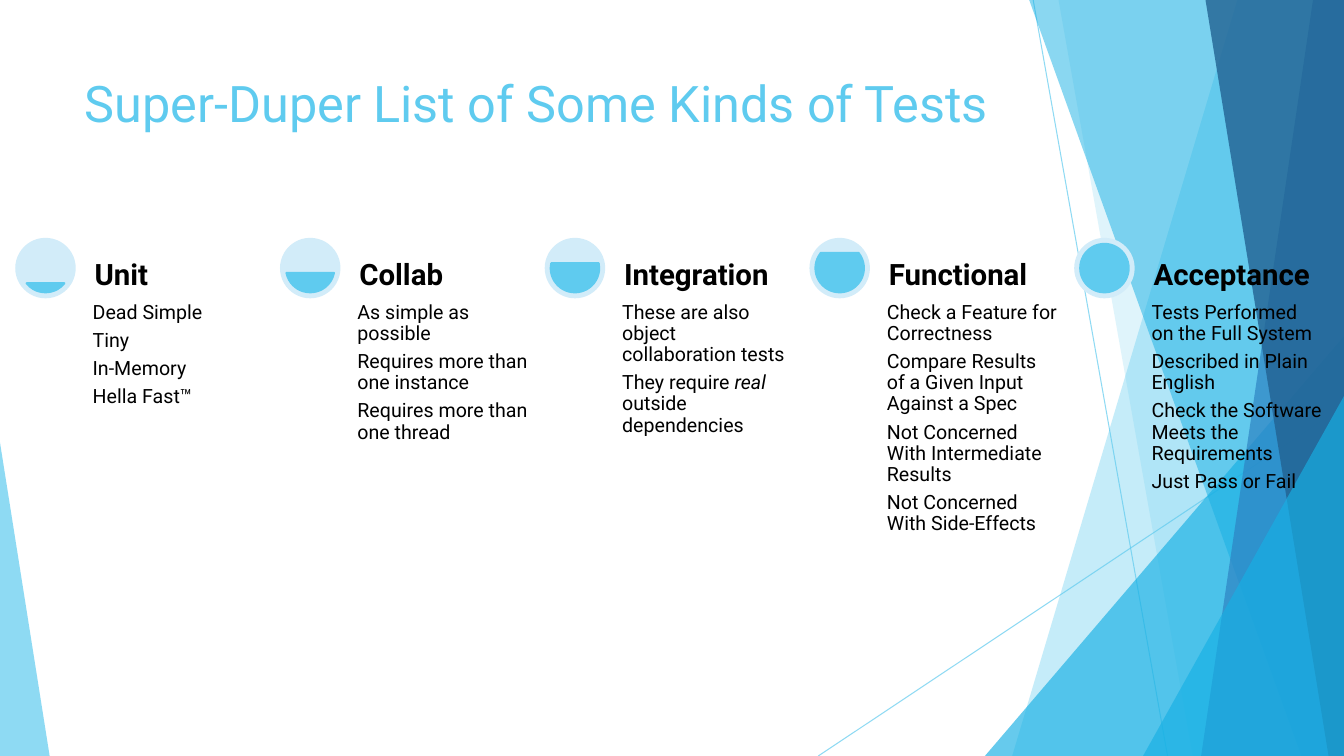
"""Build a slide that lists five kinds of tests beside faceted blue panels."""
import pptx
import pptx.dml.color
import pptx.enum.shapes
import pptx.enum.text
import pptx.oxml.ns
import pptx.util
from lxml import etree

Pt = pptx.util.Pt
SHAPE = pptx.enum.shapes.MSO_SHAPE
ANCHOR = pptx.enum.text.MSO_ANCHOR
qn = pptx.oxml.ns.qn

WIDE, HIGH = 960, 540
FONT, SKY, PALE, BLACK = "Roboto", "5FCBEF", "D2ECF9", "000000"
TITLE = "Super-Duper List of Some Kinds of Tests"

# Each kind: name, angle of the water line in degrees, points
KINDS = [
    ("Unit", 38.87, ["Dead Simple", "Tiny", "In-Memory", "Hella Fast™"]),
    ("Collab", 11.54, [
        "As simple as possible",
        "Requires more than one instance",
        "Requires more than one thread"]),
    ("Integration", -11.54, [
        "These are also object collaboration tests",
        ("They require ", "real", " outside dependencies")]),
    ("Functional", -38.87, [
        "Check a Feature for Correctness",
        "Compare Results of a Given Input Against a Spec",
        "Not Concerned With Intermediate Results",
        "Not Concerned With Side-Effects"]),
    ("Acceptance", -90, [
        "Tests Performed on the Full System",
        "Described in Plain English",
        "Check the Software Meets the Requirements",
        "Just Pass or Fail"]),
]
RAYS = [(738, 0, 834, HIGH), (WIDE, 290, 584.5, HIGH)]
FACETS = [
    ("panel", 884, 723, SKY, 36),
    ("panel", 756, 852, SKY, 20),
    ("wedge", 703.5, 240, 256.5, 1, "17B0E4", 66),
    ("panel", 735, 929.5, "17B0E4", 50),
    ("panel", 938, 858, "2E83C3", 70),
    ("panel", 861, 949, "226292", 80),
    ("wedge", 816.5, 283, 143.5, 1, "17B0E4", 66),
    ("wedge", 0, 316, 35.5, 0, SKY, 70),
]
LEFT, TOP, STEP = 10.9, 169.9, 189.1
DISC, RIM, SHIFT, WIDTH, DEPTH = 43.2, 4.3, 52.4, 128.2, 182


def color(code):
    return pptx.dml.color.RGBColor.from_string(code)


def fade(shape, alpha):
    for tag in shape.element.spPr.iter(qn("a:srgbClr")):
        etree.SubElement(tag, qn("a:alpha"), val=str(alpha * 1000))


def paint(shape, code):
    shape.shadow.inherit = False
    shape.fill.solid()
    shape.fill.fore_color.rgb = color(code)
    shape.line.fill.background()


def style(para, size, code, bold=False):
    font = para.font
    font.name, font.size, font.bold = FONT, Pt(size), bold
    font.color.rgb = color(code)


def add_ray(shapes, ends):
    kind = pptx.enum.shapes.MSO_CONNECTOR.STRAIGHT
    ray = shapes.add_connector(kind, *map(Pt, ends))
    ray.line.color.rgb = color(SKY)
    ray.line.width = Pt(0.75)
    fade(ray, 70)
    etree.SubElement(ray.element.spPr, qn("a:effectLst"))


def add_panel(shapes, head, foot):
    edge = [(WIDE, -0.5), (WIDE, HIGH), (foot, HIGH)]
    pen = shapes.build_freeform(Pt(head), Pt(-0.5))
    pen.add_line_segments([(Pt(x), Pt(y)) for x, y in edge], close=True)
    return pen.convert_to_shape()


def add_wedge(shapes, left, top, width, tip):
    wedge = shapes.add_shape(
        SHAPE.ISOSCELES_TRIANGLE, Pt(left), Pt(top), Pt(width), Pt(HIGH - top))
    wedge.adjustments[0] = tip
    return wedge


def add_disc(shapes, kind, left, top, size, code):
    disc = shapes.add_shape(kind, Pt(left), Pt(top), Pt(size), Pt(size))
    paint(disc, code)
    return disc


def add_text(shapes, left, top, height, pad, items, size, bold, after):
    frame = shapes.add_textbox(Pt(left), Pt(top), Pt(WIDTH), Pt(height)).text_frame
    frame.word_wrap = True
    frame.margin_left = frame.margin_right = Pt(pad)
    frame.margin_top = frame.margin_bottom = Pt(pad)
    for i, item in enumerate(items):
        para = frame.add_paragraph() if i else frame.paragraphs[0]
        para.line_spacing, para.space_after = 0.9, Pt(after)
        style(para, size, BLACK, bold)
        for j, part in enumerate((item,) if isinstance(item, str) else item):
            run = para.add_run()
            run.text = part
            if j % 2:
                run.font.italic = True
    return frame


def add_kind(shapes, left, name, angle, items):
    add_disc(shapes, SHAPE.OVAL, left, TOP, DISC, PALE)
    water = add_disc(
        shapes, SHAPE.CHORD, left + RIM, TOP + RIM, DISC - 2 * RIM, SKY)
    for i, turn in enumerate((angle, 180 - angle)):
        water.adjustments[i] = turn % 360 * 0.6
    water.line.color.rgb = color(SKY)
    water.line.width = Pt(1.5)
    side = left + SHIFT
    add_text(shapes, side, TOP + DISC, DEPTH, 2.9, items, 14, False, 4.9)
    head = add_text(shapes, side, TOP, DISC, 4.3, [name], 21, True, 0)
    head.vertical_anchor = ANCHOR.BOTTOM


def main():
    deck = pptx.Presentation()
    deck.slide_width, deck.slide_height = Pt(WIDE), Pt(HIGH)
    shapes = deck.slides.add_slide(deck.slide_layouts[5]).shapes
    for ends in RAYS:
        add_ray(shapes, ends)
    make = {"panel": add_panel, "wedge": add_wedge}
    for kind, *place, code, alpha in FACETS:
        facet = make[kind](shapes, *place)
        paint(facet, code)
        fade(facet, alpha)
    title = shapes.title
    title.left, title.top, title.width, title.height = map(Pt, (53.3, 48, 677, 104))
    title.text_frame.text = TITLE
    title.text_frame.vertical_anchor = ANCHOR.TOP
    para = title.text_frame.paragraphs[0]
    para.alignment = pptx.enum.text.PP_ALIGN.LEFT
    style(para, 36, SKY)
    for i, kind in enumerate(KINDS):
        add_kind(shapes, LEFT + STEP * i, *kind)
    deck.save("out.pptx")


if __name__ == "__main__":
    main()
